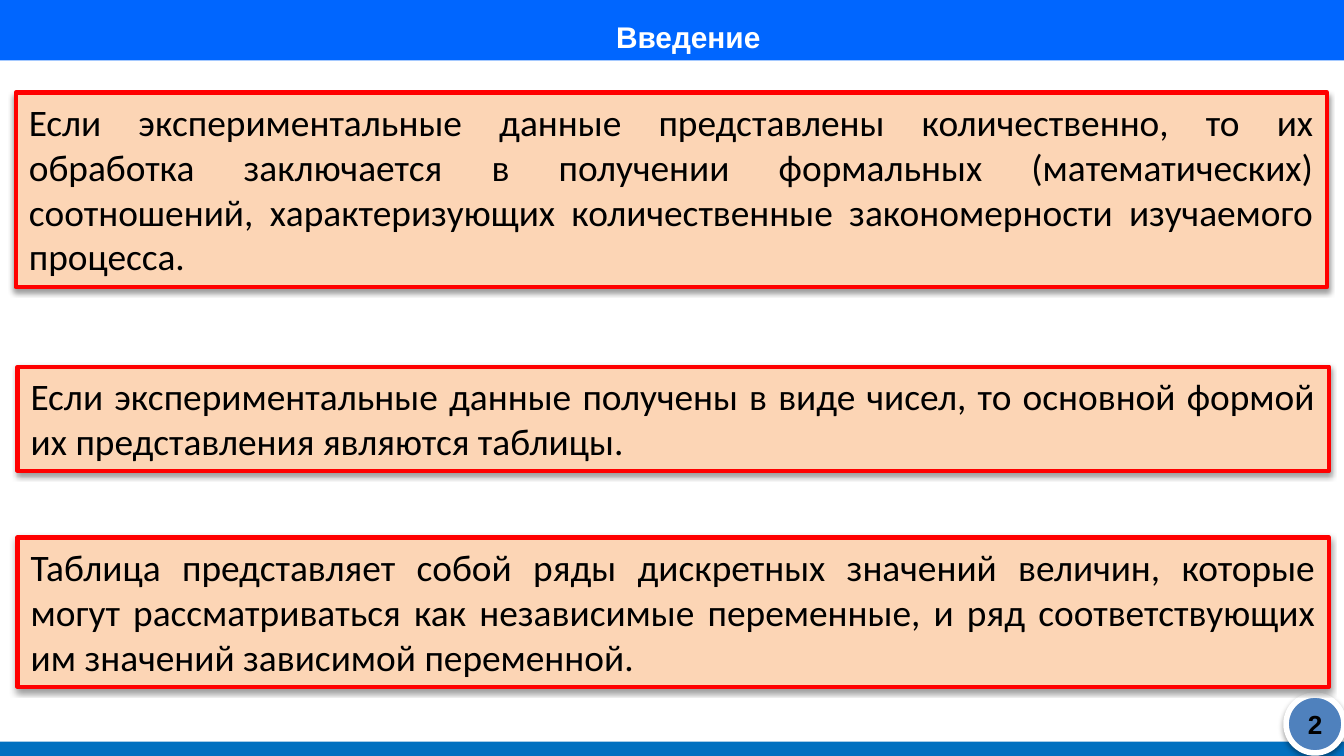
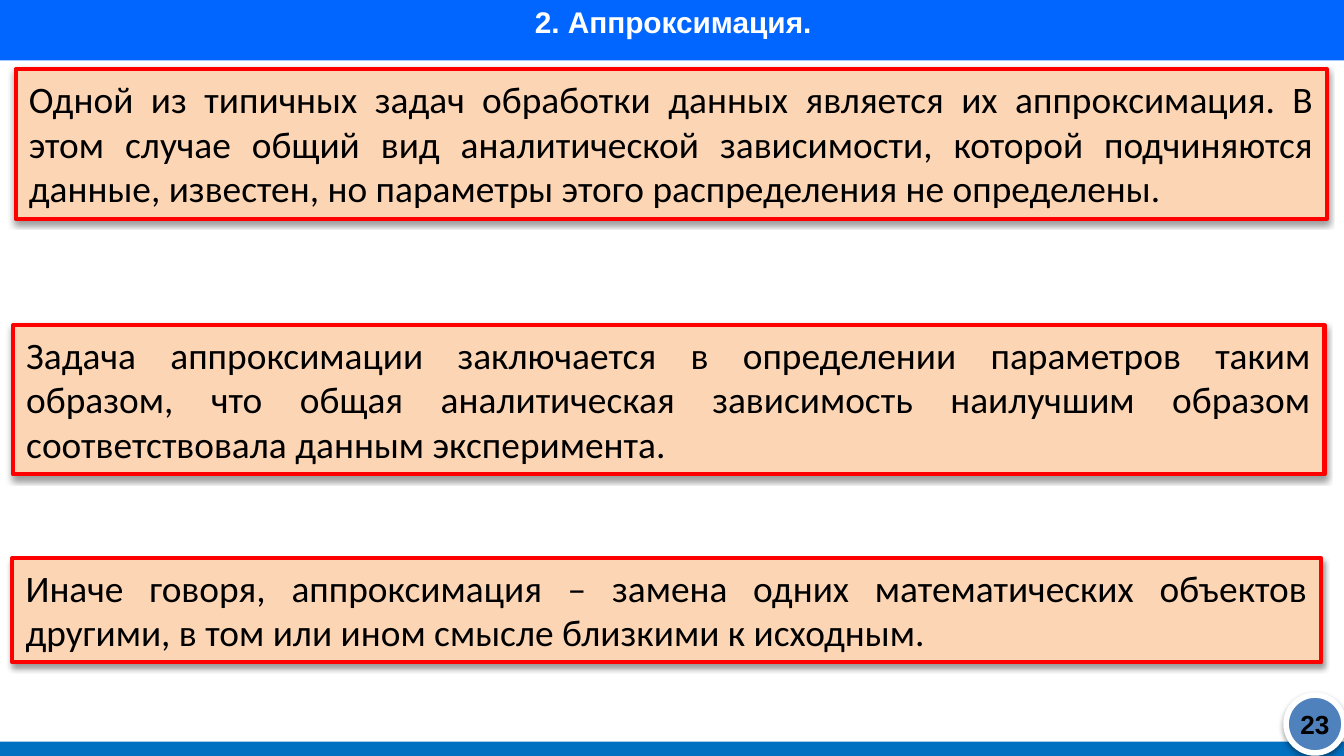
from lxml.etree import SubElement
from pptx import Presentation
from pptx.dml.color import RGBColor
from pptx.enum.shapes import MSO_SHAPE
from pptx.enum.text import MSO_ANCHOR, MSO_AUTO_SIZE, PP_ALIGN
from pptx.oxml.ns import qn
from pptx.util import Pt

# Content: title, its shift, page number, cards (left, top, width, lines, text)
SLIDES = [
    {
        "title": "Введение", "shift": 8, "page": "2",
        "cards": [
            (8.4, 49.6, 702.6, 4,
             "Если экспериментальные данные представлены количественно, то их "
             "обработка заключается в получении формальных (математических) "
             "соотношений, характеризующих количественные закономерности "
             "изучаемого процесса."),
            (9.4, 196.4, 702.6, 2,
             "Если экспериментальные данные получены в виде чисел, то основной "
             "формой их представления являются таблицы."),
            (9.4, 288, 702.6, 3,
             "Таблица представляет собой ряды дискретных значений величин, "
             "которые могут рассматриваться как независимые переменные, и ряд "
             "соответствующих им значений зависимой переменной."),
        ],
    },
    {
        "title": "2. Аппроксимация.", "shift": 0, "page": "23",
        "cards": [
            (8.4, 37.2, 702.6, 3,
             "Одной из типичных задач обработки данных является их "
             "аппроксимация. В этом случае общий вид аналитической "
             "зависимости, которой подчиняются данные, известен, но параметры "
             "этого распределения не определены."),
            (7, 174.2, 702.6, 3,
             "Задача аппроксимации заключается в определении параметров таким "
             "образом, что общая аналитическая зависимость наилучшим образом "
             "соответствовала данным эксперимента."),
            (6.6, 299, 701.2, 2,
             "Иначе говоря, аппроксимация – замена одних математических "
             "объектов другими, в том или ином смысле близкими к исходным."),
        ],
    },
]

# Shared look
WIDE, HIGH = 720, 405
BAND, FOOT = 32.4, 7.6
DISC = 31
BLUE, SEA, STEEL = "0066FF", "0070C0", "4F81BD"
PEACH, RED, WHITE, BLACK = "FCD5B5", "FF0000", "FFFFFF", "000000"
LINE, PAD = 24.2, 7.4


def color(code):
    return RGBColor.from_string(code)


def shade(shape):
    """Soft shadow that falls straight down."""
    fx = shape._element.spPr.find(qn("a:effectLst"))
    drop = SubElement(fx, qn("a:outerShdw"), blurRad=str(Pt(3.1)),
                      dist=str(Pt(1.6)), dir="5400000", rotWithShape="0")
    tint = SubElement(drop, qn("a:srgbClr"), val=BLACK)
    SubElement(tint, qn("a:alpha"), val="38000")


def draw(slide, kind, box, fill, edge=None, width=0):
    shape = slide.shapes.add_shape(kind, *map(Pt, box))
    shape.shadow.inherit = False
    shape.fill.solid()
    shape.fill.fore_color.rgb = color(fill)
    if edge:
        shape.line.color.rgb = color(edge)
        shape.line.width = Pt(width)
        shade(shape)
    else:
        shape.line.fill.background()
    return shape


def write(shape, text, font, size, ink, align, anchor, bold=False):
    frame = shape.text_frame
    frame.text = text
    frame.word_wrap = True
    frame.auto_size = MSO_AUTO_SIZE.NONE
    frame.vertical_anchor = anchor
    para = frame.paragraphs[0]
    para.alignment = align
    face = para.runs[0].font
    face.name, face.size, face.bold = font, Pt(size), bold
    face.color.rgb = color(ink)


def head(slide, text, shift):
    draw(slide, MSO_SHAPE.RECTANGLE, (0, 0, WIDE, BAND), BLUE)
    title = slide.shapes.title
    slide.shapes._spTree.append(title._element)  # above the band
    title.left, title.top = Pt(55.4 + shift), Pt(shift - 1.4)
    title.width, title.height = Pt(610.6), Pt(33.8)
    write(title, text, "Arial", 16, WHITE, PP_ALIGN.CENTER,
          MSO_ANCHOR.TOP, True)


def foot(slide, page):
    draw(slide, MSO_SHAPE.RECTANGLE, (0, HIGH - FOOT, WIDE, FOOT), SEA)
    left = WIDE - DISC
    draw(slide, MSO_SHAPE.OVAL, (left, 372.4, DISC, DISC), STEEL, WHITE, 3)
    label = slide.shapes.add_textbox(*map(Pt, (left, 377.3, DISC, 21.6)))
    write(label, page, "Arial", 14, BLACK, PP_ALIGN.CENTER,
          MSO_ANCHOR.MIDDLE, True)


def card(slide, left, top, width, lines, text):
    box = left, top, width, lines * LINE + PAD
    shape = draw(slide, MSO_SHAPE.RECTANGLE, box, PEACH, RED, 2.25)
    write(shape, text, "Calibri", 20, BLACK, PP_ALIGN.JUSTIFY, MSO_ANCHOR.TOP)


def main():
    deck = Presentation()
    deck.slide_width, deck.slide_height = Pt(WIDE), Pt(HIGH)
    for item in SLIDES:
        slide = deck.slides.add_slide(deck.slide_layouts[5])
        head(slide, item["title"], item["shift"])
        foot(slide, item["page"])
        for spec in item["cards"]:
            card(slide, *spec)
    deck.save("out.pptx")


if __name__ == "__main__":
    main()
